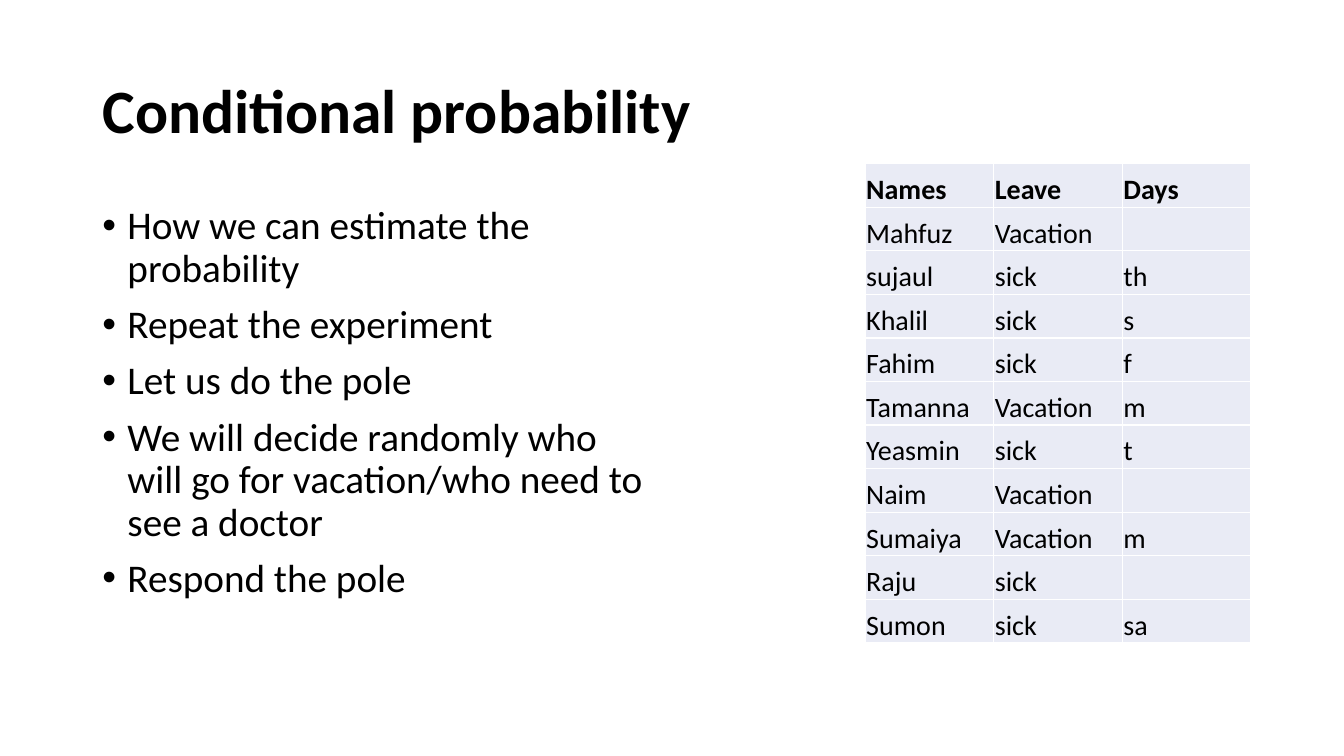
"""Build the conditional probability slide with its bullets and leave table."""
from lxml import etree
from pptx import Presentation, util as u
from pptx.dml.color import RGBColor
from pptx.enum import text
from pptx.oxml.ns import qn

PX = 914400 // 192
COLORS = {"ink": "000000", "cell": "E9EBF5", "border": "FFFFFF"}
ROW_HEIGHT, COLUMN_WIDTH = 83, 245

questions = [
    "How we can estimate the probability",
    "Repeat the experiment",
    "Let us do the pole",
    "We will decide randomly who will go for vacation/who need to see a doctor",
    "Respond the pole",
]
leave_rows = [
    ("Names", "Leave", "Days"),
    ("Mahfuz", "Vacation", ""),
    ("sujaul", "sick", "th"),
    ("Khalil", "sick", "s"),
    ("Fahim", "sick", "f"),
    ("Tamanna", "Vacation", "m"),
    ("Yeasmin", "sick", "t"),
    ("Naim", "Vacation", ""),
    ("Sumaiya", "Vacation", "m"),
    ("Raju", "sick", ""),
    ("Sumon", "sick", "sa"),
]


def write(paragraph, words, size, bold=False, spacing=1.0, before=0, bullet=None):
    paragraph.alignment = text.PP_ALIGN.LEFT
    paragraph.line_spacing = spacing
    paragraph.space_before = u.Pt(before)
    font = paragraph.font
    if words:
        run = paragraph.add_run()
        run.text = words
        font = run.font
    font.name, font.size, font.bold = "Calibri", u.Pt(size), bold
    font.color.rgb = RGBColor.from_string(COLORS["ink"])
    if bullet:
        properties = paragraph._p.get_or_add_pPr()
        properties.set("marL", str(48 * PX))
        properties.set("indent", str(-48 * PX))
        etree.SubElement(properties, qn("a:buFont"), typeface="Arial")
        etree.SubElement(properties, qn("a:buChar"), char=bullet)


prs = Presentation()
prs.slide_width, prs.slide_height = 2560 * PX, 1440 * PX
slide = prs.slides.add_slide(prs.slide_layouts[5])

title = slide.shapes.title
title.left, title.top, title.width, title.height = (n * PX for n in (176, 77, 2208, 278))
title.text_frame.vertical_anchor = text.MSO_ANCHOR.MIDDLE
title.text_frame.auto_size = text.MSO_AUTO_SIZE.NONE
write(title.text_frame.paragraphs[0], "Conditional probability", 44, bold=True, spacing=0.9)

steps = slide.shapes.add_textbox(*(n * PX for n in (176, 383, 1088, 914))).text_frame
steps.word_wrap = True
for index, question in enumerate(questions):
    paragraph = steps.add_paragraph() if index else steps.paragraphs[0]
    write(paragraph, question, 28, spacing=0.9, before=10, bullet="•")

leave = slide.shapes.add_table(
    len(leave_rows), 3, 1648 * PX, 312 * PX,
    3 * COLUMN_WIDTH * PX, len(leave_rows) * ROW_HEIGHT * PX,
).table
leave.first_row = leave.horz_banding = False
for column in leave.columns:
    column.width = COLUMN_WIDTH * PX
for row_index, entries in enumerate(leave_rows):
    leave.rows[row_index].height = ROW_HEIGHT * PX
    for column_index, entry in enumerate(entries):
        cell = leave.cell(row_index, column_index)
        cell.margin_left = cell.margin_right = cell.margin_top = 2 * PX
        cell.margin_bottom = 0
        cell.vertical_anchor = text.MSO_ANCHOR.BOTTOM
        for side in ("lnL", "lnR", "lnT", "lnB"):
            border = etree.SubElement(cell._tc.get_or_add_tcPr(), qn(f"a:{side}"), w=str(u.Pt(1)))
            fill = etree.SubElement(border, qn("a:solidFill"))
            etree.SubElement(fill, qn("a:srgbClr"), val=COLORS["border"])
        cell.fill.solid()
        cell.fill.fore_color.rgb = RGBColor.from_string(COLORS["cell"])
        write(cell.text_frame.paragraphs[0], entry, 20, bold=row_index == 0)

prs.save("out.pptx")
